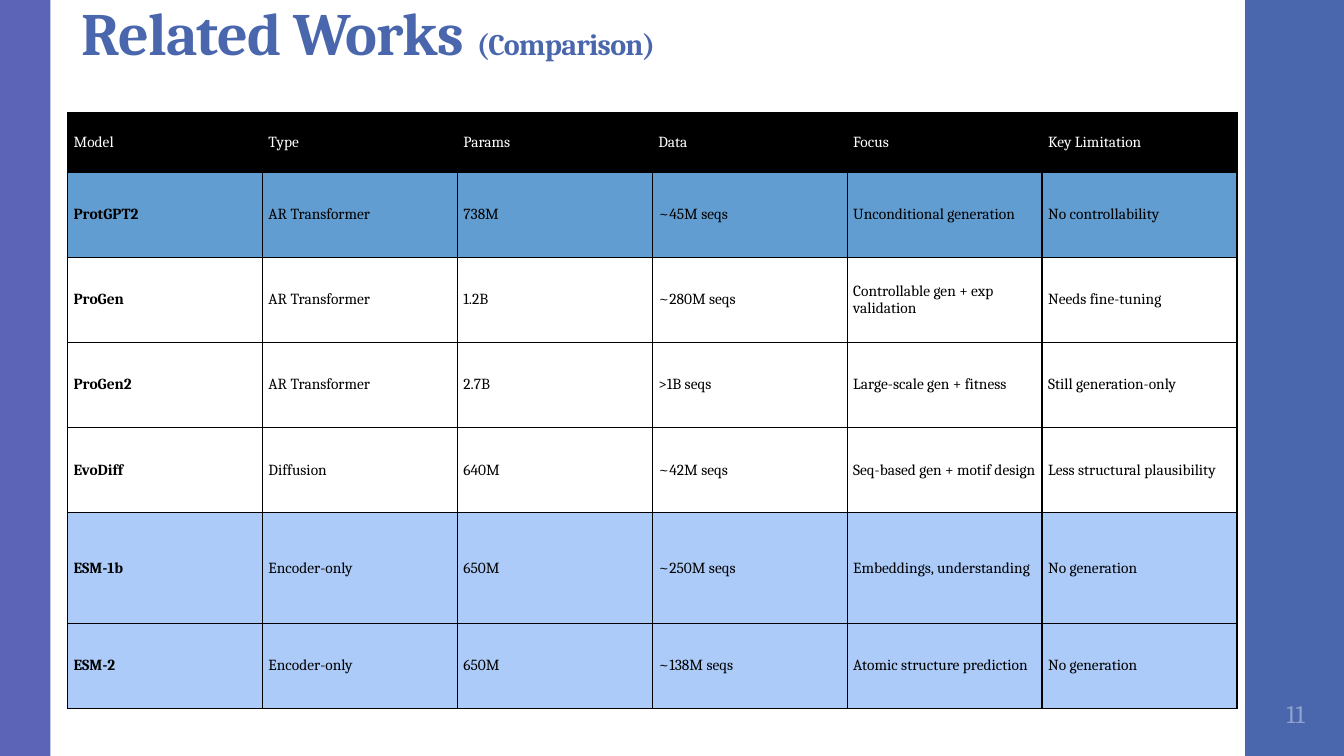
from lxml.etree import SubElement
from pptx import Presentation
from pptx.dml.color import RGBColor
from pptx.enum.shapes import MSO_SHAPE
from pptx.enum.text import MSO_ANCHOR, MSO_AUTO_SIZE, PP_ALIGN
from pptx.oxml.ns import qn
from pptx.util import Inches, Pt

WIDTH, HEIGHT = 13.33, 7.5
FONT = "Cambria"
BLUE, PURPLE, BLACK, WHITE = "4A66AC", "5C64B7", "000000", "FFFFFF"
MID_BLUE, PALE_BLUE = "629DD1", "ACCBF9"
TABLE_WIDTH, TABLE_HEIGHT = 11.6, 5.91
HEADER_HEIGHT, TALL_HEIGHT = 0.59, 1.1
TALL_MODEL = "ESM-1b"

HEADINGS = ["Model", "Type", "Params", "Data", "Focus", "Key Limitation"]
MODELS = [
    (["ProtGPT2", "AR Transformer", "738M", "~45M seqs",
      "Unconditional generation", "No controllability"], MID_BLUE),
    (["ProGen", "AR Transformer", "1.2B", "~280M seqs",
      "Controllable gen + exp validation", "Needs fine-tuning"], None),
    (["ProGen2", "AR Transformer", "2.7B", ">1B seqs",
      "Large-scale gen + fitness", "Still generation-only"], None),
    (["EvoDiff", "Diffusion", "640M", "~42M seqs",
      "Seq-based gen + motif design", "Less structural plausibility"], None),
    (["ESM-1b", "Encoder-only", "650M", "~250M seqs",
      "Embeddings, understanding", "No generation"], PALE_BLUE),
    (["ESM-2", "Encoder-only", "650M", "~138M seqs",
      "Atomic structure prediction", "No generation"], PALE_BLUE),
]


def rgb(code):
    """Turn a hex string into a colour."""
    return RGBColor.from_string(code)


def write(paragraph, text, size=11, color=BLACK, bold=False, spacing=0):
    """Add one formatted run to a paragraph."""
    run = paragraph.add_run()
    run.text = text
    run.font.name = FONT
    run.font.size = Pt(size)
    run.font.bold = bold
    run.font.color.rgb = rgb(color)
    if spacing:
        run.font._element.set("spc", str(round(spacing * 100)))


def set_insets(holder, side, end):
    """Set the inner margins of a cell or a text frame."""
    holder.margin_left = holder.margin_right = Inches(side)
    holder.margin_top = holder.margin_bottom = Inches(end)


def add_band(slide, left, width, color):
    """Draw a full-height band at a side of the slide."""
    band = slide.shapes.add_shape(
        MSO_SHAPE.RECTANGLE, Inches(left), 0, Inches(width), Inches(HEIGHT))
    band.shadow.inherit = False
    band.fill.solid()
    band.fill.fore_color.rgb = rgb(color)
    band.line.fill.background()


def add_title(slide):
    """Place and write the slide title."""
    title = slide.shapes.title
    title.left, title.top = Inches(0.71), Inches(0.04)
    title.width, title.height = Inches(8.16), Inches(0.71)
    frame = title.text_frame
    frame.word_wrap = True
    frame.auto_size = MSO_AUTO_SIZE.NONE
    frame.vertical_anchor = MSO_ANCHOR.TOP
    heading = frame.paragraphs[0]
    heading.alignment = PP_ALIGN.LEFT
    heading.line_spacing = 0.8
    for text, size in (("Related Works ", 42.9), ("(Comparison)", 21.4)):
        write(heading, text, size=size, color=BLUE, bold=True, spacing=-0.5)


def add_borders(cell):
    """Give a cell thin black lines on all four sides."""
    properties = cell._tc.get_or_add_tcPr()
    for side in ("a:lnL", "a:lnR", "a:lnT", "a:lnB"):
        border = SubElement(properties, qn(side), w=str(Pt(1)))
        solid = SubElement(border, qn("a:solidFill"))
        SubElement(solid, qn("a:srgbClr"), val=BLACK)


def fill_cell(cell, text, fill, **text_format):
    """Write and format one table cell."""
    set_insets(cell, 0.06, 0.03)
    cell.vertical_anchor = MSO_ANCHOR.MIDDLE
    write(cell.text_frame.paragraphs[0], text, **text_format)
    add_borders(cell)
    if fill:
        cell.fill.solid()
        cell.fill.fore_color.rgb = rgb(fill)
    else:
        cell.fill.background()


def add_comparison(slide):
    """Build the table that compares the models."""
    table = slide.shapes.add_table(
        len(MODELS) + 1, len(HEADINGS), Inches(0.67), Inches(1.12),
        Inches(TABLE_WIDTH), Inches(TABLE_HEIGHT)).table
    table.first_row = table.horz_banding = False
    for column in table.columns:
        column.width = Inches(TABLE_WIDTH / len(HEADINGS))

    table.rows[0].height = Inches(HEADER_HEIGHT)
    for column, heading in enumerate(HEADINGS):
        fill_cell(table.cell(0, column), heading, BLACK, color=WHITE)

    model_height = (TABLE_HEIGHT - HEADER_HEIGHT - TALL_HEIGHT) / (len(MODELS) - 1)
    for row, (facts, fill) in enumerate(MODELS, start=1):
        tall = facts[0] == TALL_MODEL
        table.rows[row].height = Inches(TALL_HEIGHT if tall else model_height)
        for column, fact in enumerate(facts):
            fill_cell(table.cell(row, column), fact, fill, bold=column == 0)


def add_page_number(slide, number):
    """Write the page number on the right band."""
    frame = slide.shapes.add_textbox(
        Inches(12.35), Inches(6.75), Inches(1), Inches(0.65)).text_frame
    frame.word_wrap = True
    frame.vertical_anchor = MSO_ANCHOR.MIDDLE
    set_insets(frame, 0.05, 0.05)
    paragraph = frame.paragraphs[0]
    paragraph.alignment = PP_ALIGN.CENTER
    write(paragraph, number, size=18, color="90A2CF")


def main():
    """Build and save the slide."""
    deck = Presentation()
    deck.slide_width, deck.slide_height = Inches(WIDTH), Inches(HEIGHT)
    slide = deck.slides.add_slide(deck.slide_layouts[5])
    add_band(slide, 12.35, WIDTH - 12.35, BLUE)
    add_band(slide, 0, 0.5, PURPLE)
    add_title(slide)
    add_comparison(slide)
    add_page_number(slide, "11")
    deck.save("out.pptx")


if __name__ == "__main__":
    main()
